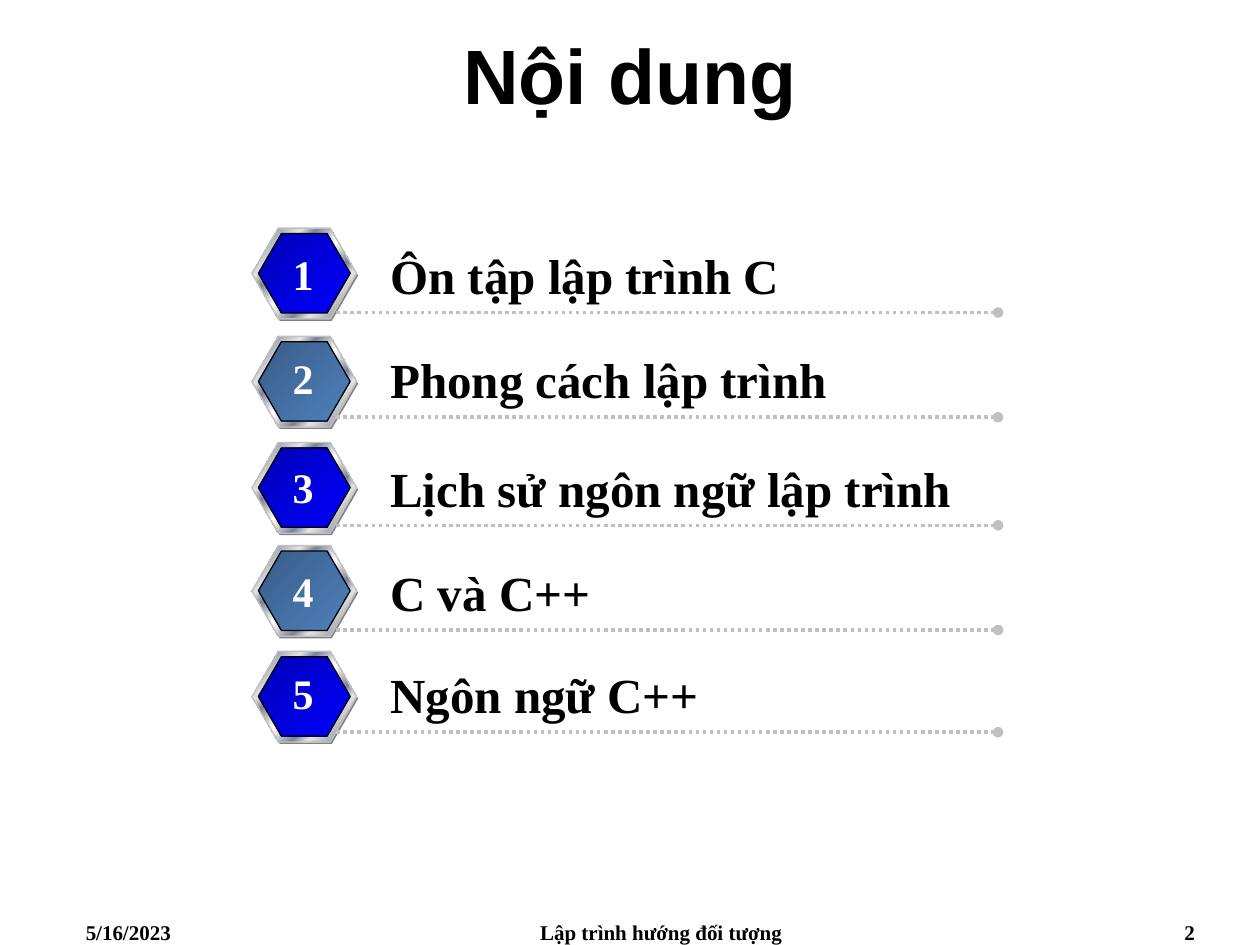
from dataclasses import dataclass

from lxml import etree
from pptx import Presentation
from pptx.dml.color import RGBColor
from pptx.enum import dml, shapes, text
from pptx.oxml import parse_xml
from pptx.oxml.ns import nsdecls, qn
from pptx.util import Cm, Pt

Stops = tuple[tuple[int, str], ...]


@dataclass(frozen=True)
class Theme:
    head: str = "Arial"
    body: str = "Times New Roman"
    ink: str = "000000"
    white: str = "FFFFFF"
    shade: str = "808080"
    rule: str = "C0C0C0"
    blue: Stops = ((0, "0000B6"), (100, "0000FF"))
    steel: Stops = ((0, "395C87"), (100, "4F81BD"))
    metal: Stops = (
        (0, "E6E6E6"), (7, "7D8496"), (26, "E6E6E6"), (34, "7D8496"),
        (46, "E6E6E6"), (50, "FFFFFF"), (54, "E6E6E6"), (66, "7D8496"),
        (74, "E6E6E6"), (93, "7D8496"), (100, "E6E6E6"))
    title: int = 44
    label: int = 28
    digit: int = 24
    foot: int = 12


@dataclass(frozen=True)
class Topic:
    name: str
    top: float    # top of the badge, cm
    base: float   # height of the dotted rule, cm


@dataclass(frozen=True)
class Foot:
    words: str
    left: float
    width: float
    align: text.PP_ALIGN


T = Theme()
ALIGN = text.PP_ALIGN
TOPICS = (
    Topic("Ôn tập lập trình C", 4.6, 6.3),
    Topic("Phong cách lập trình", 6.78, 8.41),
    Topic("Lịch sử ngôn ngữ lập trình", 8.92, 10.59),
    Topic("C và C++", 11, 12.7),
    Topic("Ngôn ngữ C++", 13.13, 14.76),
)
FEET = (
    Foot("5/16/2023", 1.48, 5.92, ALIGN.LEFT),
    Foot("Lập trình hướng đối tượng", 9.31, 8.04, ALIGN.CENTER),
    Foot("2", 18.42, 5.92, ALIGN.RIGHT),
)


def write(host, words: str, left: float, top: float, width: float,
          height: float, *, size: int, font: str = T.body,
          color: str = T.ink, align=ALIGN.LEFT,
          anchor=text.MSO_ANCHOR.TOP, wrap: bool = True) -> None:
    box = host.add_textbox(Cm(left), Cm(top), Cm(width), Cm(height))
    frame = box.text_frame
    frame.word_wrap = wrap
    frame.vertical_anchor = anchor
    par = frame.paragraphs[0]
    par.alignment = align
    run = par.add_run()
    run.text = words
    run.font.name = font
    run.font.size = Pt(size)
    run.font.bold = True
    run.font.color.rgb = RGBColor.from_string(color)


def blend(shape, stops: Stops) -> None:
    """Fill with a diagonal gradient of any number of stops."""
    marks = "".join(
        f'<a:gs pos="{pos * 1000}"><a:srgbClr val="{color}"/></a:gs>'
        for pos, color in stops)
    grad = parse_xml(
        f'<a:gradFill {nsdecls("a")} rotWithShape="1"><a:gsLst>{marks}'
        '</a:gsLst><a:lin ang="2700000" scaled="1"/></a:gradFill>')
    shape._element.spPr.find(qn("a:prstGeom")).addnext(grad)


def hexa(host, left: float, top: float, width: float, height: float, *,
         fill: str | Stops, line: str | None = None) -> None:
    shape = host.add_shape(shapes.MSO_SHAPE.HEXAGON, Cm(left), Cm(top),
                           Cm(width), Cm(height))
    shape.adjustments[0] = 0.29
    shape.shadow.inherit = False
    if isinstance(fill, str):
        shape.fill.solid()
        shape.fill.fore_color.rgb = RGBColor.from_string(fill)
    else:
        blend(shape, fill)
    if line:
        shape.line.color.rgb = RGBColor.from_string(line)
        shape.line.width = Pt(0.75)
    else:
        shape.line.fill.background()


def badge(host, top: float, fill: Stops) -> None:
    hexa(host, 5.11, top + 0.04, 2.11, 1.83, fill=T.shade)
    hexa(host, 5.08, top, 2.11, 1.83, fill=T.metal, line=T.rule)
    hexa(host, 5.21, top + 0.11, 1.85, 1.6, fill=fill, line=T.ink)


def dots(host, base: float) -> None:
    """Draw a dotted rule that ends in a round dot."""
    rule = host.add_connector(shapes.MSO_CONNECTOR.STRAIGHT,
                              Cm(6.78), Cm(base), Cm(20.12), Cm(base))
    rule.line.color.rgb = RGBColor.from_string(T.rule)
    rule.line.width = Pt(2)
    rule.line.dash_style = dml.MSO_LINE.ROUND_DOT
    etree.SubElement(rule.line._get_or_add_ln(), qn("a:tailEnd"), type="oval")
    etree.SubElement(rule._element.spPr, qn("a:effectLst"))


def row(slide, num: int, topic: Topic) -> None:
    host = slide.shapes.add_group_shape().shapes
    badge(host, topic.top, T.blue if num % 2 else T.steel)
    dots(host, topic.base)
    write(host, topic.name, 7.62, topic.base - 1.48, 13, 1.45, size=T.label)
    write(host, str(num), 5.64, topic.base - 1.42, 0.94, 1.27, size=T.digit,
          color=T.white, align=ALIGN.CENTER, wrap=False)


def main() -> None:
    deck = Presentation()
    deck.slide_width, deck.slide_height = Cm(25.4), Cm(19.05)
    slide = deck.slides.add_slide(deck.slide_layouts[6])
    write(slide.shapes, "Nội dung", 0, 0, 25.4, 2.97, size=T.title,
          font=T.head, align=ALIGN.CENTER, anchor=text.MSO_ANCHOR.MIDDLE)
    for foot in FEET:
        write(slide.shapes, foot.words, foot.left, 18.42, foot.width, 0.63,
              size=T.foot, align=foot.align)
    for num, topic in enumerate(TOPICS, 1):
        row(slide, num, topic)
    deck.save("out.pptx")


if __name__ == "__main__":
    main()
